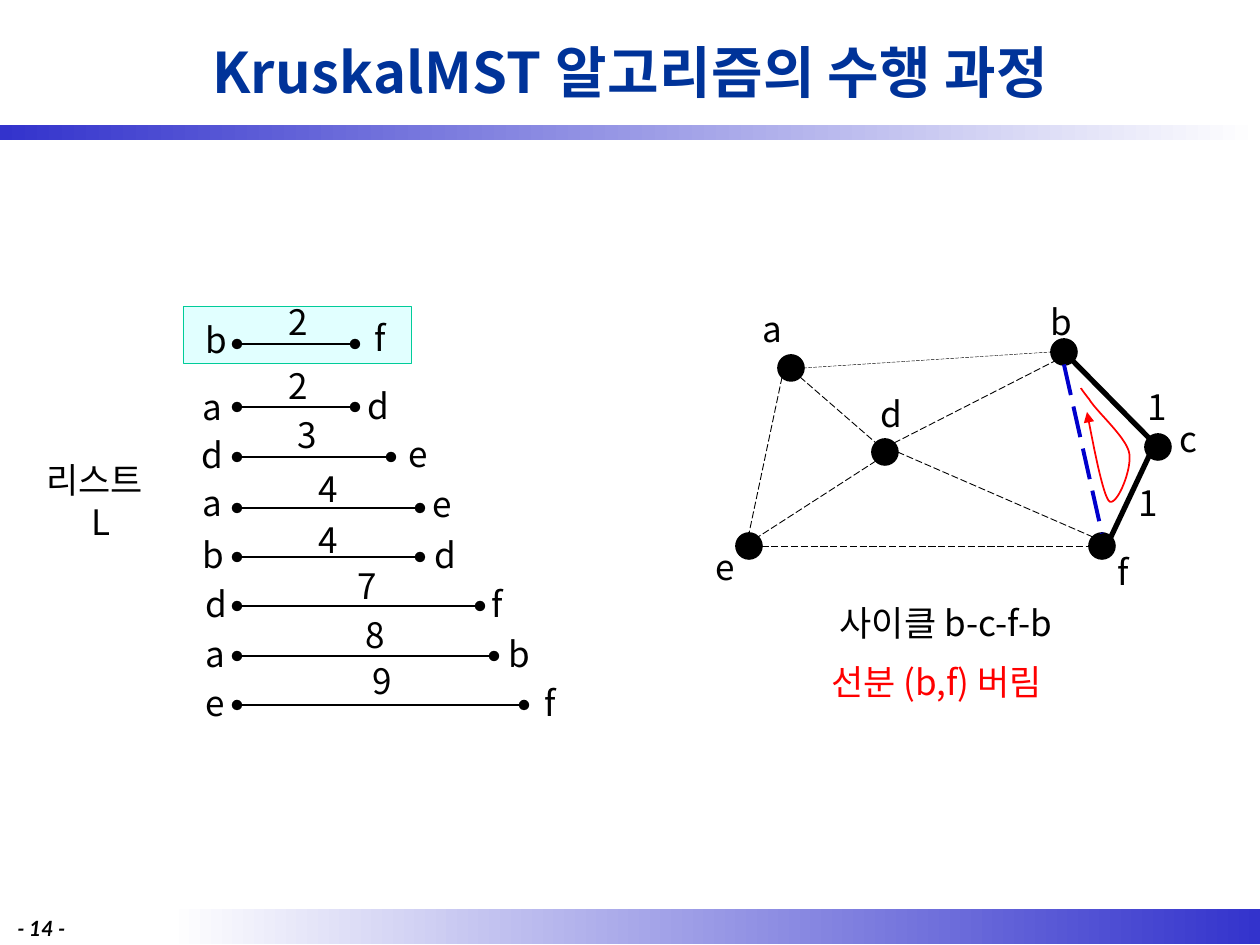
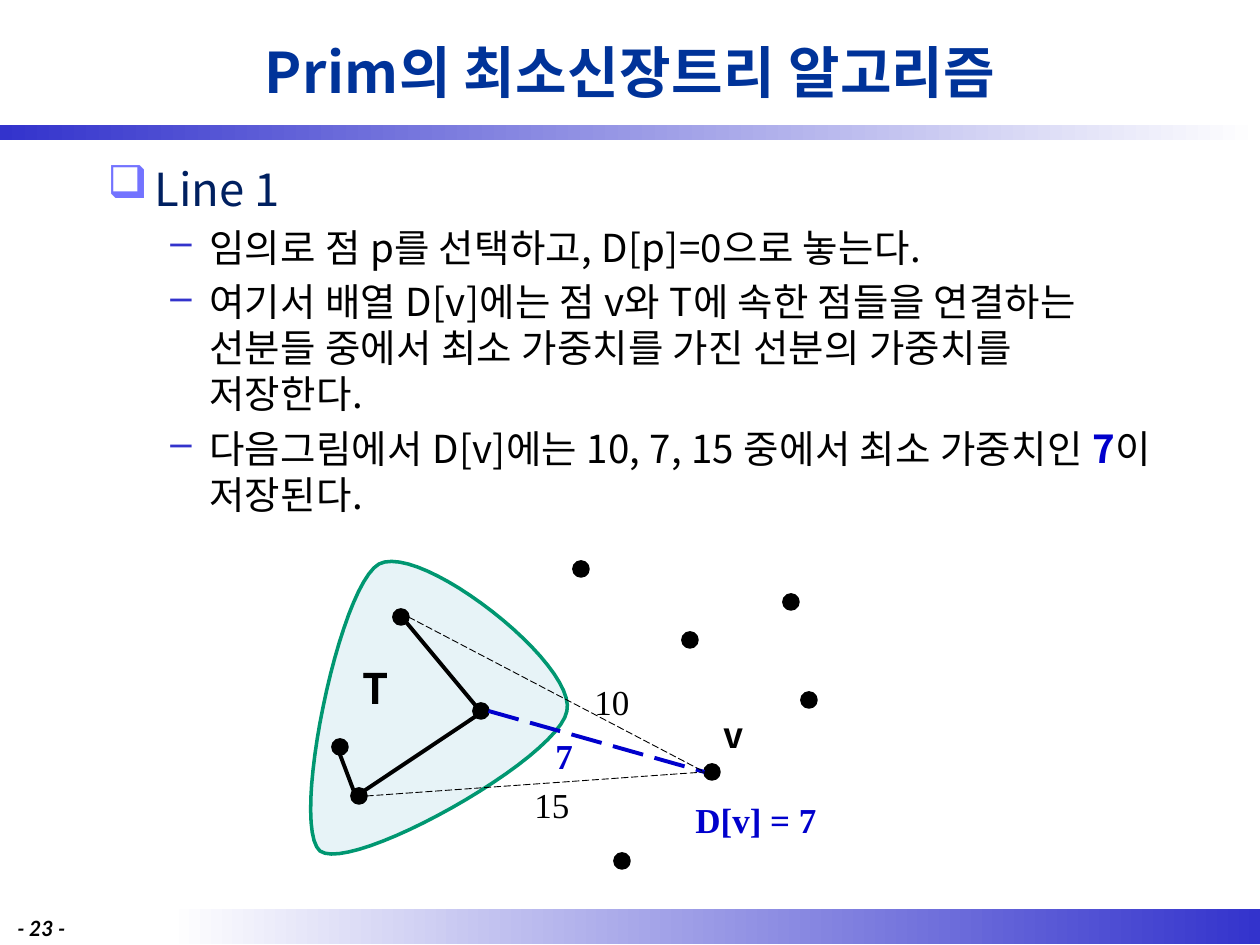
from dataclasses import dataclass

from lxml import etree
from pptx import Presentation
from pptx import util as u
from pptx.dml.color import RGBColor
from pptx.enum import dml, shapes, text
from pptx.oxml.ns import qn


@dataclass(frozen=True)
class Theme:
    sans: str = "Noto Sans CJK KR"
    serif: str = "Times New Roman"
    footer_font: str = "Lato"
    black: str = "000000"
    white: str = "FFFFFF"
    band: str = "3333CC"
    title: str = "003399"
    heading: str = "002060"
    bullet: str = "7373FF"
    blue: str = "0000CC"
    red: str = "FF0000"
    mark_fill: str = "E1FFFF"
    mark_line: str = "00CC99"
    tree_fill: str = "DBEEF4"
    tree_line: str = "009771"
    title_size: int = 32
    heading_size: int = 26
    body_size: int = 22
    tree_size: int = 24
    label_size: int = 20
    footer_size: int = 12
    leading: float = 1.2
    tracking: int = 20  # hundredths of a point


THEME = Theme()
PX_PER_INCH = 126
LETTER_WIDTHS = {"f": 37, "a": 44, "e": 45, "c": 43}
LETTER_WIDTH, LABEL_HEIGHT = 47, 55

# ---- KruskalMST ----
KRUSKAL_TITLE = "KruskalMST 알고리즘의 수행 과정"
LIST_LEFT = 237
# line y, line right end, then (text, left, top) of both end points and the weight
EDGE_LIST = [
    (344, 355, ("b", 193, 312), ("2", 276, 294), ("f", 362, 310)),
    (407, 355, ("a", 190, 379), ("2", 276, 358), ("d", 355, 378)),
    (457, 391, ("d", 189, 427), ("3", 285, 407), ("e", 396, 426)),
    (508, 420, ("a", 190, 475), ("4", 306, 461), ("e", 420, 476)),
    (557, 420, ("b", 190, 527), ("4", 306, 512), ("d", 422, 527)),
    (606, 480, ("d", 193, 576), ("7", 345, 558), ("f", 479, 576)),
    (656, 494, ("a", 193, 626), ("8", 353, 607), ("b", 496, 626)),
    (705, 524, ("e", 193, 675), ("9", 360, 653), ("f", 532, 675)),
]
GRAPH_NODES = {"a": (791, 368), "b": (1064, 352), "c": (1158, 447),
               "d": (885, 452), "e": (749, 546), "f": (1102, 546)}
GRAPH_LABELS = [("a", 750, 301), ("b", 1038, 294), ("c", 1167, 411),
                ("d", 868, 386), ("e", 703, 539), ("f", 1105, 544),
                ("1", 1135, 379), ("1", 1126, 475)]
# node, side it leaves from, node, side it arrives at, style
GRAPH_EDGES = [
    ("a", "SE", "d", "NW", "open"), ("d", "SW", "e", "NE", "open"),
    ("a", "SW", "e", "N", "open"), ("d", "E", "f", "NW", "open"),
    ("e", "E", "f", "W", "open"), ("a", "E", "b", "W", "faint"),
    ("d", "NE", "b", "SW", "open"), ("c", "NW", "b", "SE", "chosen"),
    ("f", "NE", "c", "SW", "chosen"), ("b", "S", "f", "N", "candidate"),
]
CYCLE_ARROW = [(1081, 388),
               ((1081, 388), (1081, 389), (1089, 399)),
               ((1096, 411), (1125, 436), (1129, 452)),
               ((1133, 469), (1116, 508), (1109, 501)),
               ((1103, 494), (1095, 454), (1087, 412))]

# ---- Prim ----
PRIM_TITLE = "Prim의 최소신장트리 알고리즘"
PRIM_HEADING = "Line 1"
# each bullet is a list of (text, emphasised)
PRIM_BULLETS = [
    [("임의로 점 p를 선택하고, D[p]=0으로 놓는다.", False)],
    [("여기서 배열 D[v]에는 점 v와 T에 속한 점들을 연결하는 선분들 중에서 "
      "최소 가중치를 가진 선분의 가중치를 저장한다.", False)],
    [("다음그림에서 D[v]에는 10, 7, 15 중에서 최소 가중치인 ", False),
     ("7", True), ("이 저장된다.", False)],
]
TREE_OUTLINE = [(320, 851),
                ((290, 825), (339, 587), (379, 564)),
                ((421, 542), (577, 664), (567, 711)),
                ((558, 759), (352, 874), (320, 851))]
PRIM_NODES = {"top": (401, 617), "right": (481, 711), "low": (359, 796),
              "left": (340, 747), "v": (712, 772),
              "out 1": (581, 569), "out 2": (690, 640), "out 3": (791, 602),
              "out 4": (809, 700), "out 5": (622, 861)}
PRIM_EDGES = [
    ("top", "SE", "right", "NW", "tree"), ("right", "SW", "low", "NE", "tree"),
    ("left", "S", "low", "NW", "tree"), ("right", "E", "v", "W", "candidate"),
    ("low", "E", "v", "W", "open"), ("top", "E", "v", "W", "open"),
]

# colour, width in points, dashed
EDGE_STYLES = {
    "listed": (THEME.black, 1.5, False),
    "open": (THEME.black, 0.5, True),
    "faint": (THEME.black, 0.25, True),
    "chosen": (THEME.black, 3, False),
    "tree": (THEME.black, 2.25, False),
    "candidate": (THEME.blue, 2.25, True),
}


def px(value):
    return u.Emu(round(value * 914400 / PX_PER_INCH))


def add_xml(parent, tag, **attributes):
    return etree.SubElement(parent, qn(tag), attributes)


def set_line(shape, color, width, dashed=False, **ends):
    """Style an outline; ends maps headEnd or tailEnd to an arrowhead type."""
    shape.line.color.rgb = RGBColor.from_string(color)
    shape.line.width = u.Pt(width)
    if dashed:
        shape.line.dash_style = dml.MSO_LINE.LONG_DASH
    outline = shape.element.spPr.find(qn("a:ln"))
    for end in ("headEnd", "tailEnd"):
        if end in ends:
            add_xml(outline, "a:" + end, type=ends[end])


def set_fill(shape, color):
    shape.fill.solid()
    shape.fill.fore_color.rgb = RGBColor.from_string(color)


def add_span(para, words, size, color=THEME.black, font=THEME.sans,
             bold=False, italic=False, tracking=0):
    span = para.add_run()
    span.text = words
    span.font.size = u.Pt(size)
    span.font.name = font
    span.font.bold = bold
    span.font.italic = italic
    span.font.color.rgb = RGBColor.from_string(color)
    add_xml(span.font._element, "a:ea", typeface=font)
    if tracking:
        span.font._element.set("spc", str(tracking))


def add_box(page, left, top, width, height):
    box = page.shapes.add_textbox(px(left), px(top), px(width), px(height))
    box.text_frame.word_wrap = True
    return box.text_frame


def add_label(page, words, left, top, width=None, height=LABEL_HEIGHT,
              size=THEME.label_size, align=text.PP_ALIGN.LEFT, **look):
    width = width or LETTER_WIDTHS.get(words, LETTER_WIDTH)
    para = add_box(page, left, top, width, height).paragraphs[0]
    para.alignment = align
    if "font" not in look:
        para.line_spacing = u.Pt(size * THEME.leading)
    add_span(para, words, size, **look)


def add_shape(page, preset, left, top, width, height):
    shape = page.shapes.add_shape(preset, px(left), px(top), px(width), px(height))
    shape.shadow.inherit = False
    return shape


def add_band(page, left, top, width, height, colors):
    band = add_shape(page, shapes.MSO_SHAPE.RECTANGLE, left, top, width, height)
    band.fill.gradient()
    band.fill.gradient_angle = 0
    for stop, color in zip(band.fill.gradient_stops, colors):
        stop.color.rgb = RGBColor.from_string(color)
    band.line.fill.background()


def add_page(deck, title, number):
    page = deck.slides.add_slide(deck.slide_layouts[6])
    add_band(page, 168, 909, 1092, 35, (THEME.white, THEME.band))
    add_band(page, 0, 125, 1260, 15, (THEME.band, THEME.white))
    frame = add_box(page, 95, 6, 1071, 130)
    frame.vertical_anchor = text.MSO_ANCHOR.MIDDLE
    frame.paragraphs[0].alignment = text.PP_ALIGN.CENTER
    add_span(frame.paragraphs[0], title, THEME.title_size, THEME.title, bold=True,
             tracking=THEME.tracking)
    add_label(page, f"- {number} -", 5, 909, 89, 30, THEME.footer_size,
              font=THEME.footer_font, bold=True, italic=True)
    return page


def add_line(page, start, end, style, **ends):
    line = page.shapes.add_connector(
        shapes.MSO_CONNECTOR.STRAIGHT, *(px(value) for value in (*start, *end)))
    set_line(line, *EDGE_STYLES[style], **ends)
    add_xml(line.element.spPr, "a:effectLst")


def rim_point(center, side, radius):
    """Point on a node's circle towards a compass side such as N or SE."""
    reach = radius * (0.71 if len(side) == 2 else 1)
    return (center[0] + reach * (("E" in side) - ("W" in side)),
            center[1] + reach * (("S" in side) - ("N" in side)))


def add_graph(page, nodes, edges, diameter):
    radius = diameter / 2
    for x, y in nodes.values():
        dot = add_shape(page, shapes.MSO_SHAPE.OVAL, x - radius, y - radius,
                        diameter, diameter)
        set_fill(dot, THEME.black)
        set_line(dot, THEME.black, 1.5)
    for first, leave, second, arrive, style in edges:
        add_line(page, rim_point(nodes[first], leave, radius),
                 rim_point(nodes[second], arrive, radius), style)


def add_curve(page, outline, closed, steps=24):
    """Draw a start point followed by cubic Bezier pieces."""
    start, *pieces = outline
    points, here = [], start
    for piece in pieces:
        corners = (here, *piece)
        for step in range(1, steps + 1):
            t = step / steps
            weights = ((1 - t) ** 3, 3 * t * (1 - t) ** 2, 3 * t * t * (1 - t), t ** 3)
            points.append(tuple(px(sum(w * c[axis] for w, c in zip(weights, corners)))
                                for axis in (0, 1)))
        here = piece[-1]
    builder = page.shapes.build_freeform(px(start[0]), px(start[1]))
    builder.add_line_segments(points, close=closed)
    curve = builder.convert_to_shape()
    curve.shadow.inherit = False
    return curve


def set_bullet(para, mark, color, margin, hang):
    props = para._p.get_or_add_pPr()
    props.set("marL", str(px(margin)))
    props.set("indent", str(-px(hang)))
    add_xml(add_xml(props, "a:buClr"), "a:srgbClr", val=color)
    add_xml(props, "a:buChar", char=mark)


def build_kruskal(deck):
    page = add_page(deck, KRUSKAL_TITLE, 14)
    mark = add_shape(page, shapes.MSO_SHAPE.RECTANGLE, 183, 306, 228, 57)
    set_fill(mark, THEME.mark_fill)
    set_line(mark, THEME.mark_line, 0.25)
    for y, right, *labels in EDGE_LIST:
        add_line(page, (right, y), (LIST_LEFT, y), "listed",
                 headEnd="oval", tailEnd="oval")
        for label in labels:
            add_label(page, *label)

    frame = add_box(page, 34, 452, 135, 97)
    for words, align in (("리스트", text.PP_ALIGN.LEFT), ("L", text.PP_ALIGN.CENTER)):
        para = frame.paragraphs[0] if words == "리스트" else frame.add_paragraph()
        para.alignment = align
        para.line_spacing = u.Pt(THEME.label_size * THEME.leading)
        add_span(para, words, THEME.label_size)

    add_graph(page, GRAPH_NODES, GRAPH_EDGES, 25)
    for label in GRAPH_LABELS:
        add_label(page, *label)
    arrow = add_curve(page, CYCLE_ARROW, closed=False)
    arrow.fill.background()
    set_line(arrow, THEME.red, 1, tailEnd="triangle")
    add_label(page, "사이클 b-c-f-b", 789, 595, 314, align=text.PP_ALIGN.CENTER)
    add_label(page, "선분 (b,f) 버림", 819, 654, 265, color=THEME.red)


def build_prim(deck):
    page = add_page(deck, PRIM_TITLE, 23)
    frame = add_box(page, 95, 155, 1071, 753)
    heading = frame.paragraphs[0]
    heading.line_spacing = u.Pt(31)
    set_bullet(heading, "❑", THEME.bullet, 47, 47)
    add_span(heading, PRIM_HEADING, THEME.heading_size, THEME.heading)
    for spans in PRIM_BULLETS:
        para = frame.add_paragraph()
        para.level = 1
        para.line_spacing = u.Pt(26.3)
        para.space_before = u.Pt(4.8)
        set_bullet(para, "–", THEME.band, 102, 39)
        for words, strong in spans:
            add_span(para, words, THEME.body_size,
                     THEME.blue if strong else THEME.black, bold=strong,
                     tracking=THEME.tracking)

    tree = add_curve(page, TREE_OUTLINE, closed=True)
    set_fill(tree, THEME.tree_fill)
    add_xml(tree.element.spPr.find(".//" + qn("a:srgbClr")), "a:alpha", val="66000")
    set_line(tree, THEME.tree_line, 2)
    add_graph(page, PRIM_NODES, PRIM_EDGES, 15)

    add_label(page, "T", 321, 656, 110, 63, THEME.tree_size,
              text.PP_ALIGN.CENTER, bold=True)
    add_label(page, "v", 711, 707, 44, bold=True)
    for words, left, top in (("10", 582, 674), ("15", 522, 777)):
        add_label(page, words, left, top, 79, font=THEME.serif)
    for words, left, top, width in (("7", 543, 728, 79), ("D[v] = 7", 683, 792, 178)):
        add_label(page, words, left, top, width, font=THEME.serif,
                  color=THEME.blue, bold=True)


def main():
    deck = Presentation()
    deck.slide_width, deck.slide_height = px(1260), px(945)
    build_kruskal(deck)
    build_prim(deck)
    deck.save("out.pptx")


if __name__ == "__main__":
    main()
